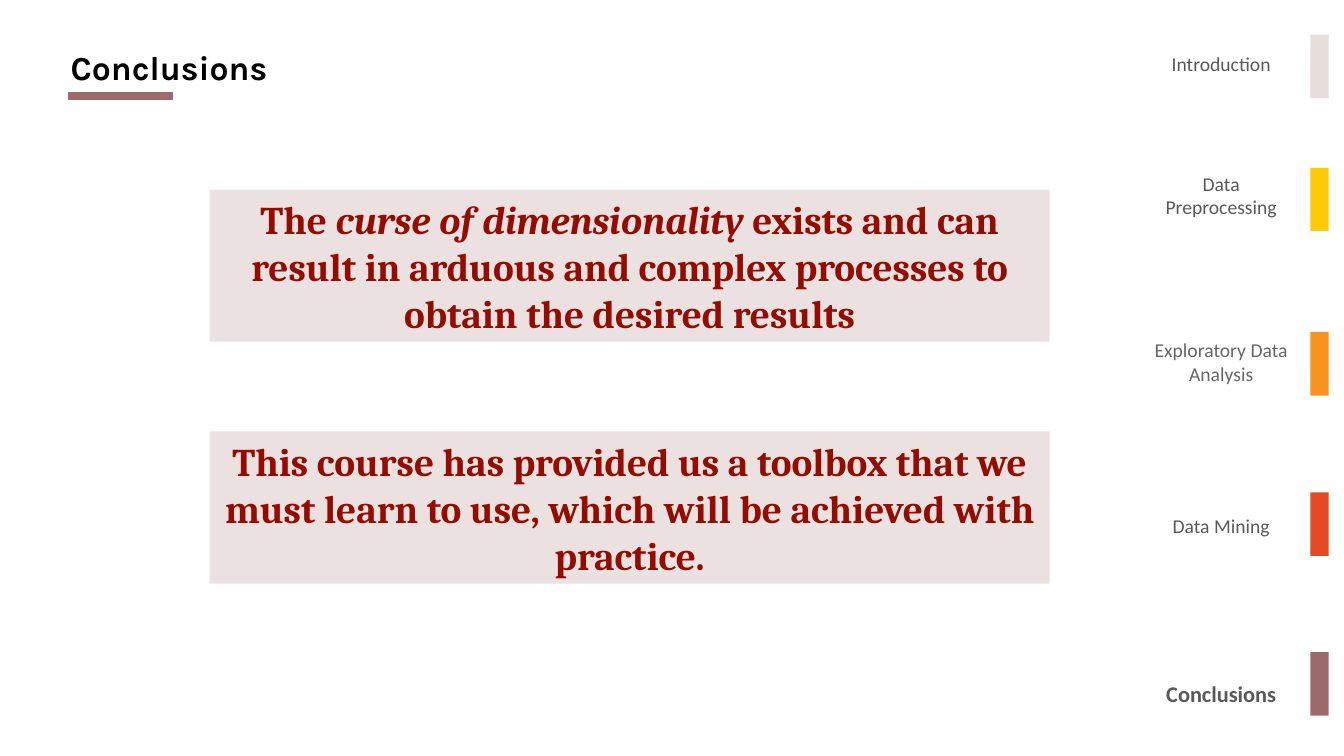
from dataclasses import dataclass

from lxml import etree
from pptx import Presentation
from pptx.dml.color import RGBColor
from pptx.enum.shapes import MSO_CONNECTOR, MSO_SHAPE
from pptx.enum.text import MSO_ANCHOR, MSO_AUTO_SIZE, PP_ALIGN
from pptx.oxml.ns import qn
from pptx.util import Inches, Pt

RECTANGLE = MSO_SHAPE.RECTANGLE
STRAIGHT = MSO_CONNECTOR.STRAIGHT
LEFT, CENTER = PP_ALIGN.LEFT, PP_ALIGN.CENTER
MIDDLE, BOTTOM = MSO_ANCHOR.MIDDLE, MSO_ANCHOR.BOTTOM
NO_FIT = MSO_AUTO_SIZE.NONE
TITLE_ONLY = 5


@dataclass(frozen=True)
class Theme:
    """Colours, fonts and type sizes of the deck."""
    black: str = "000000"
    grey: str = "595959"
    light_grey: str = "666666"
    deep_red: str = "940C00"
    blush: str = "EBE1E1"
    sand: str = "E5DEDB"
    yellow: str = "FFCA08"
    orange: str = "F8931D"
    red: str = "E64823"
    mauve: str = "9C6A6A"
    title_font: str = "Karla"
    statement_font: str = "Cambria"
    nav_font: str = "Calibri"
    title_size: int = 24
    statement_size: int = 28
    nav_size: int = 14
    current_size: int = 16
    rule_width: int = 6


class SlideBuilder:
    """Draws styled elements on one slide, with lengths in percent of its size."""

    def __init__(self, deck, theme):
        """Add a title-only slide to the deck."""
        self.deck, self.theme = deck, theme
        self.slide = deck.slides.add_slide(deck.slide_layouts[TITLE_ONLY])

    def place(self, left, top, width, height):
        """Turn percentages into slide lengths."""
        across, down = self.deck.slide_width / 100, self.deck.slide_height / 100
        return [int(left * across), int(top * down), int(width * across), int(height * down)]

    def apply(self, target, values):
        """Set every attribute in values on the target."""
        for name, value in values.items():
            setattr(target, name, value)

    def add_words(self, paragraph, words, font, size, colour, **extras):
        """Add one run of formatted text."""
        run = paragraph.add_run()
        run.text = words
        self.apply(run.font, {"name": font, "size": Pt(size), **extras})
        run.font.color.rgb = RGBColor.from_string(colour)

    def title(self, words, *area):
        """Move and format the title placeholder."""
        heading = self.slide.shapes.title
        self.apply(heading, dict(zip(("left", "top", "width", "height"), self.place(*area))))
        frame = heading.text_frame
        margins = dict.fromkeys(
            ("margin_left", "margin_right", "margin_top", "margin_bottom"), Inches(0.1))
        self.apply(frame, {"auto_size": NO_FIT, "word_wrap": True,
                           "vertical_anchor": BOTTOM, **margins})
        self.apply(frame.paragraphs[0], {"alignment": LEFT, "line_spacing": 1.15})
        theme = self.theme
        self.add_words(frame.paragraphs[0], words, theme.title_font, theme.title_size,
                       theme.black, bold=True)

    def rule(self, left, right, height):
        """Draw the thick line under the title."""
        start, level, end, _ = self.place(left, height, right, 0)
        line = self.slide.shapes.add_connector(STRAIGHT, start, level, end, level)
        line.line.color.rgb = RGBColor.from_string(self.theme.mauve)
        line.line.width = Pt(self.theme.rule_width)
        etree.SubElement(line._element.spPr, qn("a:effectLst"))

    def block(self, colour, *area):
        """Draw a plain filled rectangle."""
        block = self.slide.shapes.add_shape(RECTANGLE, *self.place(*area))
        block.shadow.inherit = False
        block.fill.solid()
        block.fill.fore_color.rgb = RGBColor.from_string(colour)
        block.line.fill.background()
        return block

    def statement(self, pieces, *area):
        """Draw a filled block with centred text given as (words, italic) pairs."""
        theme = self.theme
        frame = self.block(theme.blush, *area).text_frame
        self.apply(frame, {"word_wrap": True, "vertical_anchor": MIDDLE})
        frame.paragraphs[0].alignment = CENTER
        for words, italic in pieces:
            self.add_words(frame.paragraphs[0], words, theme.statement_font,
                           theme.statement_size, theme.deep_red, bold=True, italic=italic)

    def navigation(self, sections, *area):
        """List the section names in one column, spaced by the gap before each."""
        frame = self.slide.shapes.add_textbox(*self.place(*area)).text_frame
        frame.word_wrap = True
        for index, (name, gap, size, colour, current) in enumerate(sections):
            entry = frame.add_paragraph() if index else frame.paragraphs[0]
            entry.alignment = CENTER
            if gap:
                entry.space_before = Pt(gap)
            self.add_words(entry, name, self.theme.nav_font, size, colour, bold=current)


def main():
    """Build the conclusions slide."""
    deck = Presentation()
    deck.slide_width, deck.slide_height = Inches(13.33), Inches(7.5)
    theme = Theme()
    page = SlideBuilder(deck, theme)

    section_bars = [(theme.sand, 4.6), (theme.yellow, 22.2), (theme.orange, 43.93),
                    (theme.red, 65.13), (theme.mauve, 86.27)]
    for colour, top in section_bars:
        page.block(colour, 97.5, top, 1.35, 8.4)

    sections = [
        ("Introduction", 0, theme.nav_size, theme.grey, False),
        ("Data Preprocessing", 68.4, theme.nav_size, theme.grey, False),
        ("Exploratory Data Analysis", 85.5, theme.nav_size, theme.light_grey, False),
        ("Data Mining", 91.5, theme.nav_size, theme.grey, False),
        ("Conclusions", 102.5, theme.current_size, theme.grey, True),
    ]
    page.navigation(sections, 85.05, 6.27, 11.63, 90.8)

    page.title("Conclusions", 4.5, 4.53, 25.05, 8.4)
    page.rule(5.03, 12.9, 12.67)

    statements = [
        [("The ", False), ("curse of dimensionality ", True),
         ("exists and can result in arduous and complex processes "
          "to obtain the desired results", False)],
        [("This course has provided us a toolbox that we must learn to use, "
          "which will be achieved with practice.", False)],
    ]
    for row, pieces in enumerate(statements):
        page.statement(pieces, 15.6, 25.07 + 32 * row, 62.5, 20.13)

    deck.save("out.pptx")


if __name__ == "__main__":
    main()
